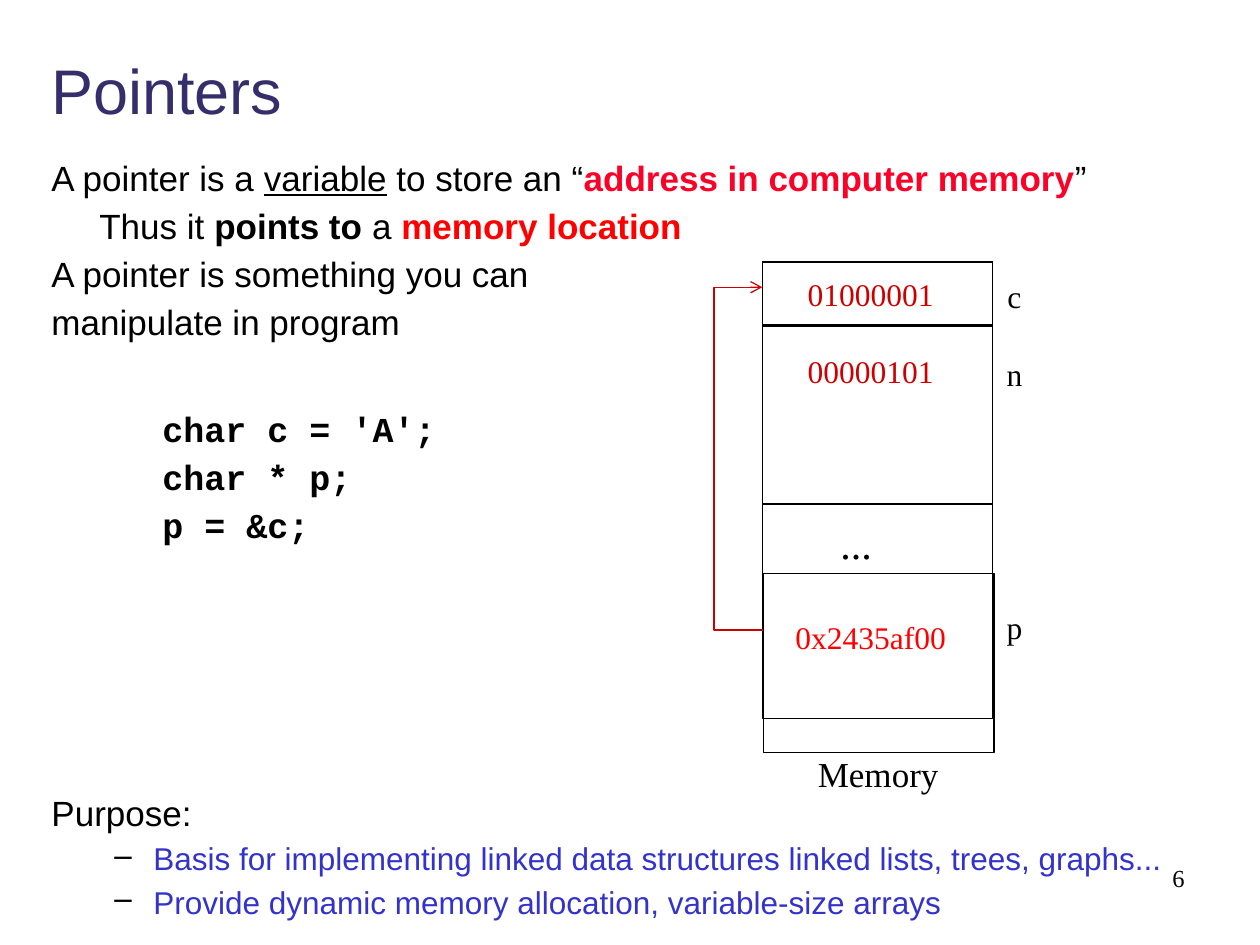
from lxml.etree import SubElement
from pptx import Presentation
from pptx.dml.color import RGBColor
from pptx.enum.shapes import MSO_CONNECTOR as Connector, MSO_SHAPE as Shape
from pptx.enum.text import MSO_ANCHOR as Anchor, PP_ALIGN as Align
from pptx.oxml.ns import qn
from pptx.util import Inches, Pt

COLORS = {"title": "362D6B", "text": "000000", "address": "FC0128", "red": "FF0000",
          "value": "CC0000", "purpose": "3333CC"}
SANS, MONO, SERIF = "Arial", "Courier New", "Times New Roman"
CELL_LEFT, CELL_WIDTH = 6.05, 1.83


def color(name):
    return RGBColor.from_string(COLORS[name])


def set_font(font, size, face, color_name="text", bold=False):
    font.size, font.name, font.bold = Pt(size), face, bold
    font.color.rgb = color(color_name)


def add_frame(slide, left, top, width, height, wrap=True):
    box = slide.shapes.add_textbox(*map(Inches, (left, top, width, height)))
    box.text_frame.word_wrap = wrap
    return box.text_frame


def add_paragraph(frame):
    first = frame.paragraphs[0]
    return frame.add_paragraph() if first.runs else first


def add_label(slide, place, text, size, face=SERIF, color_name="text",
              align=Align.CENTER, wrap=True):
    frame = add_frame(slide, *place, wrap=wrap)
    paragraph = frame.paragraphs[0]
    paragraph.text, paragraph.alignment = text, align
    set_font(paragraph.font, size, face, color_name)
    return frame


def add_column(slide, place, entries, wrap=True):
    """Stack centred (text, colour, space before) entries in one text box."""
    frame = add_frame(slide, *place, wrap=wrap)
    for text, color_name, before in entries:
        paragraph = add_paragraph(frame)
        paragraph.text, paragraph.alignment = text, Align.CENTER
        paragraph.space_before = Pt(before)
        set_font(paragraph.font, 18, SERIF, color_name)


def add_body_line(frame, runs, size=20, face=SANS, color_name="text", bold=False,
                  before=5.9, margin=0, dash=False):
    """Add a line of (text, font changes) runs, dashed with a hanging indent if asked."""
    paragraph = add_paragraph(frame)
    paragraph.line_spacing, paragraph.space_before = 0.9, Pt(before)
    set_font(paragraph.font, size, face, color_name, bold)
    for text, changes in runs:
        run = paragraph.add_run()
        run.text = text
        if "color" in changes:
            run.font.color.rgb = color(changes["color"])
        if "bold" in changes:
            run.font.bold = True
        if "underline" in changes:
            run.font.underline = True
    properties = paragraph._p.get_or_add_pPr()
    properties.set("marL", str(Inches(margin)))
    if dash:
        properties.set("indent", str(Inches(-0.31)))
        bullet_color = SubElement(properties, qn("a:buClr"))
        SubElement(bullet_color, qn("a:srgbClr"), val=COLORS["text"])
        SubElement(properties, qn("a:buChar"), char="–")
        # The schema wants the default run properties after the bullet.
        properties.append(properties.find(qn("a:defRPr")))


def add_body(slide):
    frame = add_frame(slide, 0.31, 1.23, 9.28, 6.14)
    add_body_line(frame, [("A pointer is a ", {}), ("variable", {"underline": True}),
                          (" to store an “", {}),
                          ("address in computer memory", {"color": "address", "bold": True}),
                          ("”", {})])
    add_body_line(frame, [("Thus it ", {}), ("points to", {"bold": True}), (" a ", {}),
                          ("memory location", {"color": "red", "bold": True})], margin=0.38)
    for text in ("A pointer is something you can", "manipulate in program"):
        add_body_line(frame, [(text, {})])
    for text, before in (("char c = 'A';", 39.5), ("char * p;", 5.9), ("p = &c;", 5.9)):
        add_body_line(frame, [(text, {})], face=MONO, bold=True, before=before, margin=0.88)
    add_body_line(frame, [("Purpose:", {})], before=143)
    for text in ("Basis for implementing linked data structures linked lists, trees, graphs...",
                 "Provide dynamic memory allocation, variable-size arrays"):
        add_body_line(frame, [(text, {})], size=18, color_name="purpose", before=5.3,
                      margin=0.81, dash=True)


def add_cell(slide, top, height, left=CELL_LEFT):
    cell = slide.shapes.add_shape(Shape.RECTANGLE, *map(Inches, (left, top, CELL_WIDTH, height)))
    cell.shadow.inherit = False
    cell.fill.background()
    cell.line.color.rgb = color("text")
    cell.line.width = Pt(0.75)


def add_pointer_arrow(slide, start, end, reach):
    """Draw an elbow that swings out to the left by reach before returning to end."""
    arrow = slide.shapes.add_connector(Connector.ELBOW, *map(Inches, start + end))
    arrow.line.color.rgb = color("value")
    arrow.line.width = Pt(0.75)
    share = round(reach / (start[0] - end[0]) * 100000)
    properties = arrow._element.spPr
    guides = properties.find(qn("a:prstGeom")).get_or_add_avLst()
    SubElement(guides, qn("a:gd"), name="adj1", fmla=f"val {share}")
    SubElement(arrow.line._get_or_add_ln(), qn("a:tailEnd"), type="arrow")
    SubElement(properties, qn("a:effectLst"))


def add_memory(slide):
    add_label(slide, (6.37, 4.06, 0.85, 0.5), "...", 24)
    add_label(slide, (6.39, 5.92, 1.16, 0.44), "Memory", 20, wrap=False)
    add_column(slide, (6.17, 2.13, 1.48, 3.1),
               [("01000001", "value", 0), ("00000101", "value", 22.7),
                ("0x2435af00", "red", 130.2)])
    for top, height in ((2.08, 3.62), (2.08, 0.51), (2.58, 1.42)):
        add_cell(slide, top, height)
    add_cell(slide, 4.55, 1.42, left=CELL_LEFT + 0.01)
    add_column(slide, (7.89, 2.15, 0.32, 3),
               [("c", "text", 0), ("n", "text", 22.7), ("p", "text", 123.3)], wrap=False)
    add_pointer_arrow(slide, (CELL_LEFT + 0.01, 5), (CELL_LEFT, 2.28), reach=0.4)


def main():
    presentation = Presentation()
    presentation.slide_width, presentation.slide_height = Inches(10), Inches(7.5)
    slide = presentation.slides.add_slide(presentation.slide_layouts[6])
    title = add_label(slide, (0.31, 0.17, 9.22, 1.08), "Pointers", 36, SANS, "title", Align.LEFT)
    title.vertical_anchor = Anchor.MIDDLE
    add_body(slide)
    add_memory(slide)
    add_label(slide, (7.42, 6.8, 2.08, 0.5), "6", 14, align=Align.RIGHT)
    presentation.save("out.pptx")


if __name__ == "__main__":
    main()
